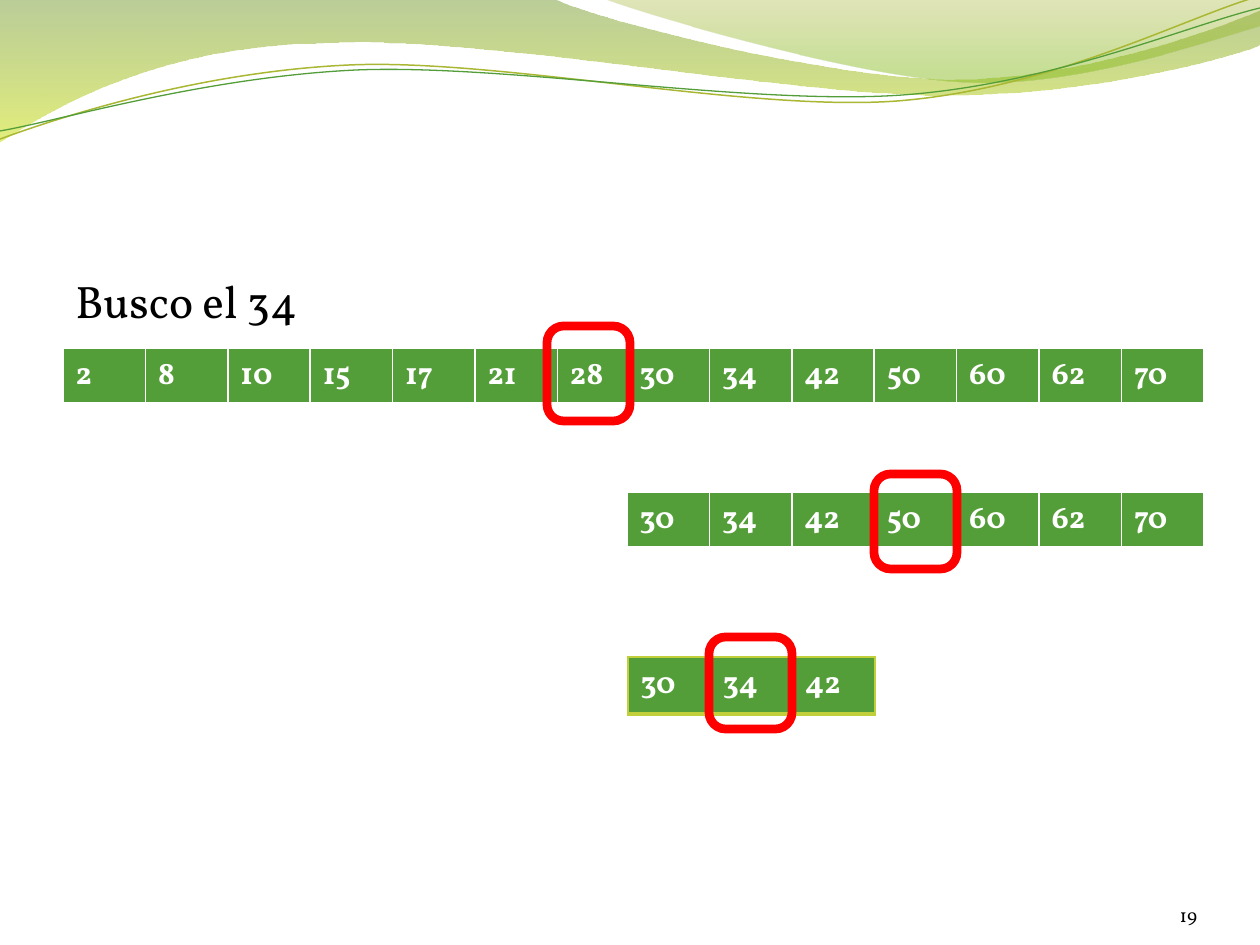
from pptx import Presentation, util as u
from pptx.dml.color import RGBColor
from pptx.enum import shapes, text
from pptx.oxml.ns import qn
from lxml import etree

PX = 914400 / 126
FONT = "Vollkorn"
HUES = {
    "ink": "000000", "white": "FFFFFF", "cell": "549E39", "lime": "C0CF3A",
    "ring": "FF0000", "moss": "69921C", "acid": "CCE10F", "olive": "9BAA1A",
    "leaf": "81BA16", "thread": "A9B733",
}
VALUES = [2, 8, 10, 15, 17, 21, 28, 30, 34, 42, 50, 60, 62, 70]


def px(n):
    return u.Emu(round(n * PX))


def rgb(name):
    return RGBColor.from_string(HUES[name])


def write(frame, words, size=18, hue="ink", bold=False,
          align=text.PP_ALIGN.LEFT, before=0):
    para = frame.paragraphs[0]
    para.alignment = align
    para.space_before = u.Pt(before)
    run = para.add_run()
    run.text = words
    font = run.font
    font.name, font.size, font.bold = FONT, u.Pt(size), bold
    font.color.rgb = rgb(hue)


def label(slide, box, words, inset=None, anchor=text.MSO_ANCHOR.TOP, **form):
    frame = slide.shapes.add_textbox(*map(px, box)).text_frame
    frame.word_wrap = True
    frame.vertical_anchor = anchor
    if inset is not None:
        frame.margin_left = frame.margin_right = px(inset)
        frame.margin_top = frame.margin_bottom = px(inset)
    write(frame, words, **form)


# A step of two numbers is a line, one of six a cubic Bezier
def outline(slide, start, steps, close):
    points = [(px(s[i]), px(s[i + 1])) for s in steps for i in range(0, len(s), 2)]
    pen = slide.shapes.build_freeform(*map(px, start))
    pen.add_line_segments(points, close=close)
    shape = pen.convert_to_shape()
    shape.shadow.inherit = False
    lines = iter(list(shape._element.spPr.iter(qn("a:lnTo"))))
    for step in steps:
        first = next(lines)
        if len(step) == 6:
            first.tag = qn("a:cubicBezTo")
            for _ in range(2):
                spare = next(lines)
                first.append(spare[0])
                spare.getparent().remove(spare)
    return shape


def band(slide, start, steps, stops):
    shape = outline(slide, start, steps, True)
    shape.line.fill.background()
    shape.fill.gradient()
    shape.fill.gradient_angle = 270
    for stop, (place, hue, _) in zip(shape.fill.gradient_stops, stops):
        stop.position = place
        stop.color.rgb = rgb(hue)
    tints = shape._element.spPr.iter(qn("a:srgbClr"))
    for tint, (_, _, alpha) in zip(tints, stops):
        etree.SubElement(tint, qn("a:alpha"), val=str(alpha * 1000))


def thread(slide, start, steps, hue, width):
    shape = outline(slide, start, steps, False)
    shape.fill.background()
    shape.line.color.rgb = rgb(hue)
    shape.line.width = u.Pt(width)


def waves(slide):
    band(slide, (0, 0), [
        (554, -1), (599, 21, 835, 79, 955, 79), (1075, 79, 1207, 33, 1260, 11),
        (1261, 45), (1239, 55, 1095, 96, 940, 95), (784, 95, 480, 35, 324, 43),
        (163, 45, 58, 105, -1, 142),
    ], [(0, "moss", 45), (1, "acid", 55)])
    band(slide, (604, -1), [
        (641, 14, 859, 78, 968, 82), (1077, 87, 1211, 40, 1260, 26), (1260, 0),
    ], [(0, "olive", 30), (0.8, "leaf", 45)])
    thread(slide, (0, 139), [
        (60, 117, 198, 72, 348, 65), (498, 58, 746, 112, 897, 101),
        (1050, 89, 1182, 19, 1256, -3),
    ], "thread", 0.85)
    thread(slide, (0, 131), [
        (59, 121, 205, 77, 357, 70), (507, 64, 752, 106, 903, 95),
        (1053, 84, 1186, 26, 1260, 8),
    ], "cell", 0.75)


def border(cell, hue, base):
    props = cell._tc.get_or_add_tcPr()
    for side, width in zip("LRTB", (1, 1, 1, base)):
        line = etree.SubElement(props, qn("a:ln" + side), w=str(u.Pt(width)))
        fill = etree.SubElement(line, qn("a:solidFill"))
        etree.SubElement(fill, qn("a:srgbClr"), val=HUES[hue])


# One row of numbers, with equal cells
def strip(slide, box, values, edge="white", base=3):
    table = slide.shapes.add_table(1, len(values), *map(px, box)).table
    table.first_row = table.horz_banding = False
    for i, value in enumerate(values):
        table.columns[i].width = px(box[2] / len(values))
        cell = table.cell(0, i)
        border(cell, edge, base)
        cell.fill.solid()
        cell.fill.fore_color.rgb = rgb("cell")
        write(cell.text_frame, str(value), hue="white", bold=True)


def ring(slide, box):
    shape = slide.shapes.add_shape(
        shapes.MSO_SHAPE.ROUNDED_RECTANGLE, *map(px, box))
    shape.shadow.inherit = False
    shape.adjustments[0] = 0.2
    shape.fill.background()
    shape.line.color.rgb = rgb("ring")
    shape.line.width = u.Pt(5)


# Rows of the search, each with its middle value ringed
def search(slide, left, top):
    right = left + 564
    strip(slide, (left, top, 577, 56), VALUES[:7])
    strip(slide, (right, top, 577, 56), VALUES[7:])
    ring(slide, (left + 484, top - 22, 83, 95))
    strip(slide, (right, top + 144, 577, 56), VALUES[7:])
    ring(slide, (left + 811, top + 126, 83, 95))
    ring(slide, (left + 646, top + 289, 83, 92))


def main():
    deck = Presentation()
    deck.slide_width, deck.slide_height = px(1260), px(945)
    slide = deck.slides.add_slide(deck.slide_layouts[6])
    waves(slide)
    strip(slide, (628, 657, 247, 57), VALUES[7:10], "lime", 2)
    label(slide, (63, 267, 1134, 605), "Busco el 34", size=26, before=2)
    label(slide, (1092, 876, 105, 50), "19", inset=0, size=11,
          anchor=text.MSO_ANCHOR.BOTTOM, align=text.PP_ALIGN.RIGHT)
    search(slide, 63, 348)
    deck.save("out.pptx")


if __name__ == "__main__":
    main()
